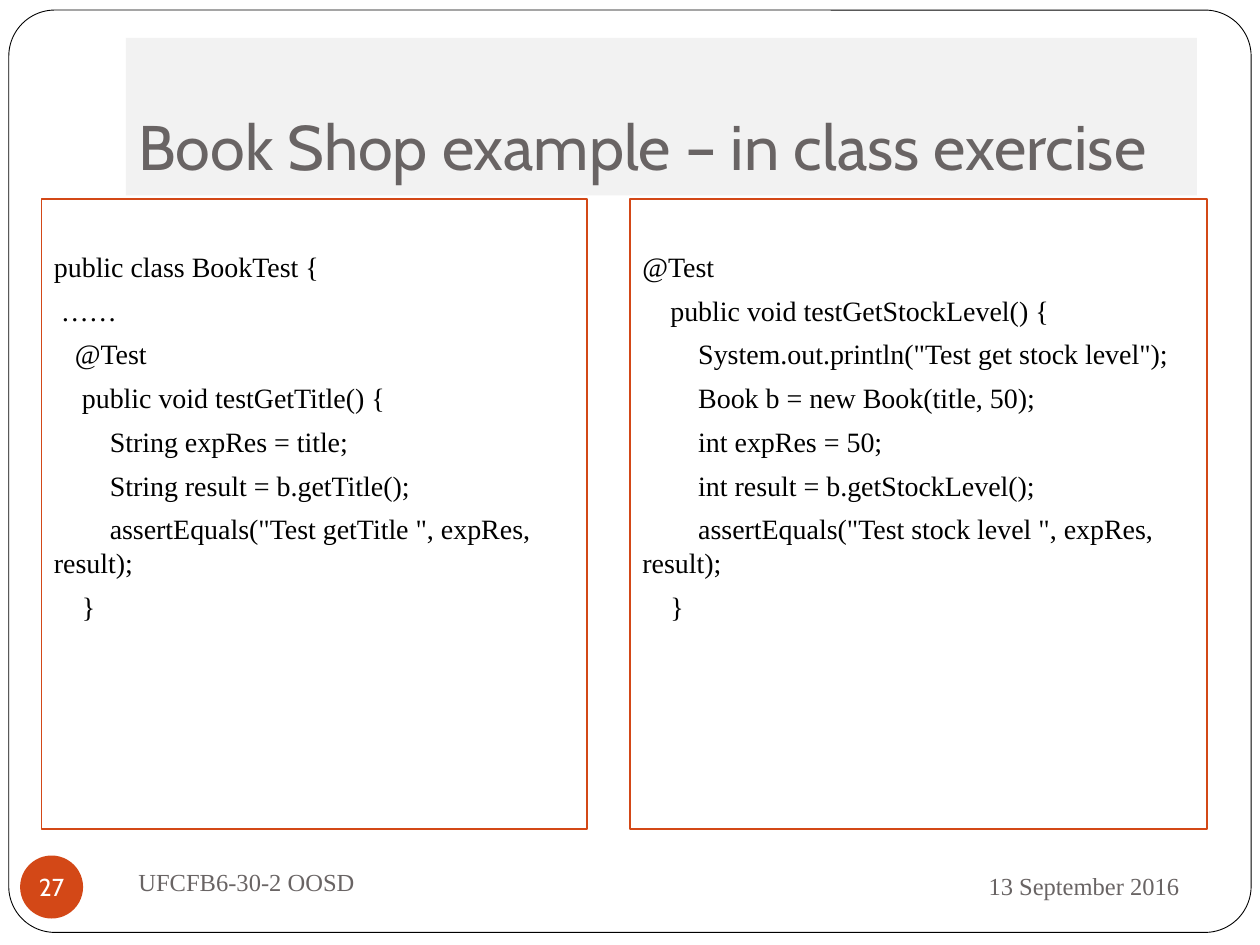
from pptx import Presentation
from pptx.dml.color import RGBColor
from pptx.enum.shapes import MSO_SHAPE
from pptx.enum.text import MSO_ANCHOR, PP_ALIGN
from pptx.util import Inches, Pt

WHITE = RGBColor(0xFF, 0xFF, 0xFF)
BLACK = RGBColor(0x00, 0x00, 0x00)
ORANGE = RGBColor(0xD3, 0x48, 0x17)
GRAY = RGBColor(0x69, 0x64, 0x64)
PALE_GRAY = RGBColor(0xF2, 0xF2, 0xF2)

TITLE_FONT = {"name": "Cabin", "size": Pt(36), "color": GRAY}
CODE_FONT = {"name": "Times New Roman", "size": Pt(16), "color": BLACK}
FOOTER_FONT = {"name": "Times New Roman", "size": Pt(14), "color": GRAY}
NUMBER_FONT = {"name": "Cabin", "size": Pt(14), "color": WHITE}

BOOK_TEST = """public class BookTest {
 ……
   @Test
    public void testGetTitle() {
        String expRes = title;
        String result = b.getTitle();
        assertEquals("Test getTitle ", expRes, result);
    }"""

STOCK_TEST = """@Test
    public void testGetStockLevel() {
        System.out.println("Test get stock level");
        Book b = new Book(title, 50);
        int expRes = 50;
        int result = b.getStockLevel();
        assertEquals("Test stock level ", expRes, result);
    }"""


def add_box(slide, kind, box, fill=None, line=None, width=0.75):
    shape = slide.shapes.add_shape(kind, *map(Inches, box))
    shape.shadow.inherit = False
    if fill is None:
        shape.fill.background()
    else:
        shape.fill.solid()
        shape.fill.fore_color.rgb = fill
    if line is None:
        shape.line.fill.background()
    else:
        shape.line.color.rgb = line
        shape.line.width = Pt(width)
    return shape


def set_text(shape, text, font, anchor=MSO_ANCHOR.MIDDLE, align=PP_ALIGN.LEFT,
             wrap=True, margins=(0.1, 0.05, 0.1, 0.05)):
    frame = shape.text_frame
    frame.word_wrap = wrap
    frame.vertical_anchor = anchor
    for side, margin in zip(("left", "top", "right", "bottom"), margins):
        setattr(frame, f"margin_{side}", Inches(margin))
    frame.text = text
    for paragraph in frame.paragraphs:
        paragraph.alignment = align
        for name, value in font.items():
            if name == "color":
                paragraph.font.color.rgb = value
            else:
                setattr(paragraph.font, name, value)
    return frame


def add_frame(slide, box):
    frame = add_box(slide, MSO_SHAPE.ROUNDED_RECTANGLE, box, WHITE, BLACK, 0.5)
    frame.adjustments[0] = 0.05


def add_title(slide, box, text):
    title = add_box(slide, MSO_SHAPE.RECTANGLE, box, PALE_GRAY)
    set_text(title, text, TITLE_FONT, MSO_ANCHOR.BOTTOM, margins=(0.1, 0.05, 0.1, 0.1))


def add_code_panel(slide, box, code):
    panel = add_box(slide, MSO_SHAPE.RECTANGLE, box, line=ORANGE)
    frame = set_text(panel, code, CODE_FONT, MSO_ANCHOR.TOP, margins=(0.1, 0.4, 0.1, 0.05))
    for index, paragraph in enumerate(frame.paragraphs):
        paragraph.line_spacing = Pt(19.2)
        paragraph.space_before = Pt(5.8 if index else 0)


def add_footer_text(slide, box, text, align):
    set_text(slide.shapes.add_textbox(*map(Inches, box)), text, FOOTER_FONT, align=align)


def add_slide_number(slide, box, number):
    badge = add_box(slide, MSO_SHAPE.OVAL, box, ORANGE)
    set_text(badge, number, NUMBER_FONT, align=PP_ALIGN.CENTER, wrap=False, margins=(0, 0, 0, 0))


def main():
    presentation = Presentation()
    presentation.slide_width = Inches(10)
    presentation.slide_height = Inches(7.5)
    slide = presentation.slides.add_slide(presentation.slide_layouts[6])

    # Border and title
    add_frame(slide, (0.07, 0.08, 9.86, 7.32))
    add_title(slide, (1, 0.3, 8.5, 1.25), "Book Shop example – in class exercise")

    # Footer
    add_footer_text(slide, (6.75, 6.77, 2.71, 0.52), "13 September 2016", PP_ALIGN.RIGHT)
    add_footer_text(slide, (1, 6.75, 4.33, 0.5), "UFCFB6-30-2 OOSD", PP_ALIGN.LEFT)
    add_slide_number(slide, (0.16, 6.79, 0.5, 0.5), "27")

    # Code side by side
    add_code_panel(slide, (0.33, 1.58, 4.33, 5), BOOK_TEST)
    add_code_panel(slide, (5, 1.58, 4.58, 5), STOCK_TEST)

    presentation.save("out.pptx")


if __name__ == "__main__":
    main()
